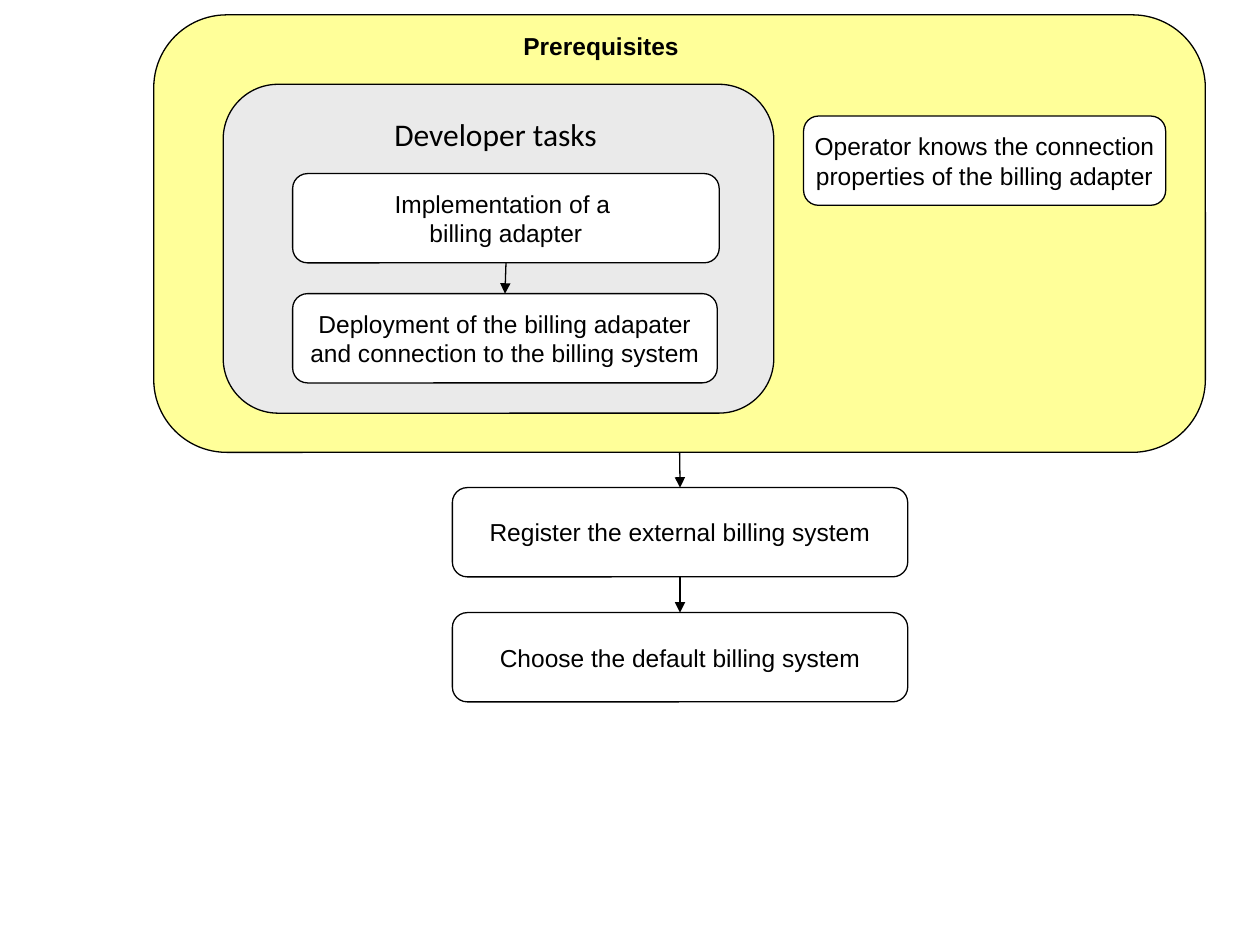
from lxml.etree import SubElement
from pptx import Presentation
from pptx.dml.color import RGBColor
from pptx.enum.shapes import MSO_CONNECTOR, MSO_SHAPE
from pptx.enum.text import MSO_ANCHOR, PP_ALIGN
from pptx.oxml.ns import qn
from pptx.util import Cm, Pt

BLACK, WHITE, YELLOW, GRAY = "000000", "FFFFFF", "FFFF99", "EAEAEA"
STEP_HEIGHT = 1.8
BOTTOM, TOP = 2, 0  # connection sites of a rounded rectangle


def color(value):
    return RGBColor.from_string(value)


class FlowSlide:
    """Holds the style and the current slide."""

    font, size, line_width = "Arial", 14, 0.75

    def __init__(self, page):
        self.page = page

    def format_text(self, box, font=None, size=None, bold=False):
        for para in box.text_frame.paragraphs:
            for span in para.runs:
                span.font.name = font or self.font
                span.font.size = Pt(size or self.size)
                span.font.bold = bold
                span.font.color.rgb = color(BLACK)

    def outline(self, shape):
        shape.line.color.rgb = color(BLACK)
        shape.line.width = Pt(self.line_width)

    def panel(self, left, top, width, height, fill):
        box = self.page.shapes.add_shape(
            MSO_SHAPE.ROUNDED_RECTANGLE, Cm(left), Cm(top), Cm(width), Cm(height))
        box.shadow.inherit = False
        box.fill.solid()
        box.fill.fore_color.rgb = color(fill)
        self.outline(box)
        return box

    def step(self, left, top, width, text):
        box = self.panel(left, top, width, STEP_HEIGHT, WHITE)
        frame = box.text_frame
        frame.text = text
        frame.word_wrap = False
        frame.vertical_anchor = MSO_ANCHOR.MIDDLE
        for para in frame.paragraphs:
            para.alignment = PP_ALIGN.CENTER
        self.format_text(box)
        return box

    def label(self, left, top, width, height, text, wrap=True, **style):
        box = self.page.shapes.add_textbox(Cm(left), Cm(top), Cm(width), Cm(height))
        box.text_frame.text = text
        box.text_frame.word_wrap = wrap
        self.format_text(box, **style)

    def arrow(self, upper, lower):
        line = self.page.shapes.add_connector(MSO_CONNECTOR.STRAIGHT, 0, 0, 0, 0)
        line.begin_connect(upper, BOTTOM)
        line.end_connect(lower, TOP)
        self.outline(line)
        SubElement(line.line._get_or_add_ln(), qn("a:tailEnd"), type="triangle")
        SubElement(line._element.spPr, qn("a:effectLst"))


def main():
    deck = Presentation()
    deck.slide_width, deck.slide_height = Cm(25.4), Cm(19.05)
    flow = FlowSlide(deck.slides.add_slide(deck.slide_layouts[6]))

    # Prerequisites panel
    prerequisites = flow.panel(3.1, 0.3, 21.2, 8.82, YELLOW)
    flow.label(10.3, 0.5, 3.76, 0.85, "Prerequisites", wrap=False, bold=True)

    # Developer tasks inside it
    flow.panel(4.5, 1.7, 11.1, 6.63, GRAY)
    flow.label(7.7, 2.2, 4.88, 1.03, "Developer tasks", font="Calibri", size=18)
    implement = flow.step(5.9, 3.5, 8.6, "Implementation of a \nbilling adapter")
    deploy = flow.step(5.9, 5.92, 8.56,
                       "Deployment of the billing adapater\n"
                       "and connection to the billing system")

    # Operator knowledge
    flow.step(16.2, 2.34, 7.3,
              "Operator knows the connection\nproperties of the billing adapter")

    # Operator steps below the panel
    register = flow.step(9.12, 9.83, 9.18, "Register the external billing system")
    choose = flow.step(9.12, 12.35, 9.18, "Choose the default billing system")

    # Flow arrows
    for upper, lower in ((implement, deploy), (prerequisites, register),
                         (register, choose)):
        flow.arrow(upper, lower)

    deck.save("out.pptx")


if __name__ == "__main__":
    main()
